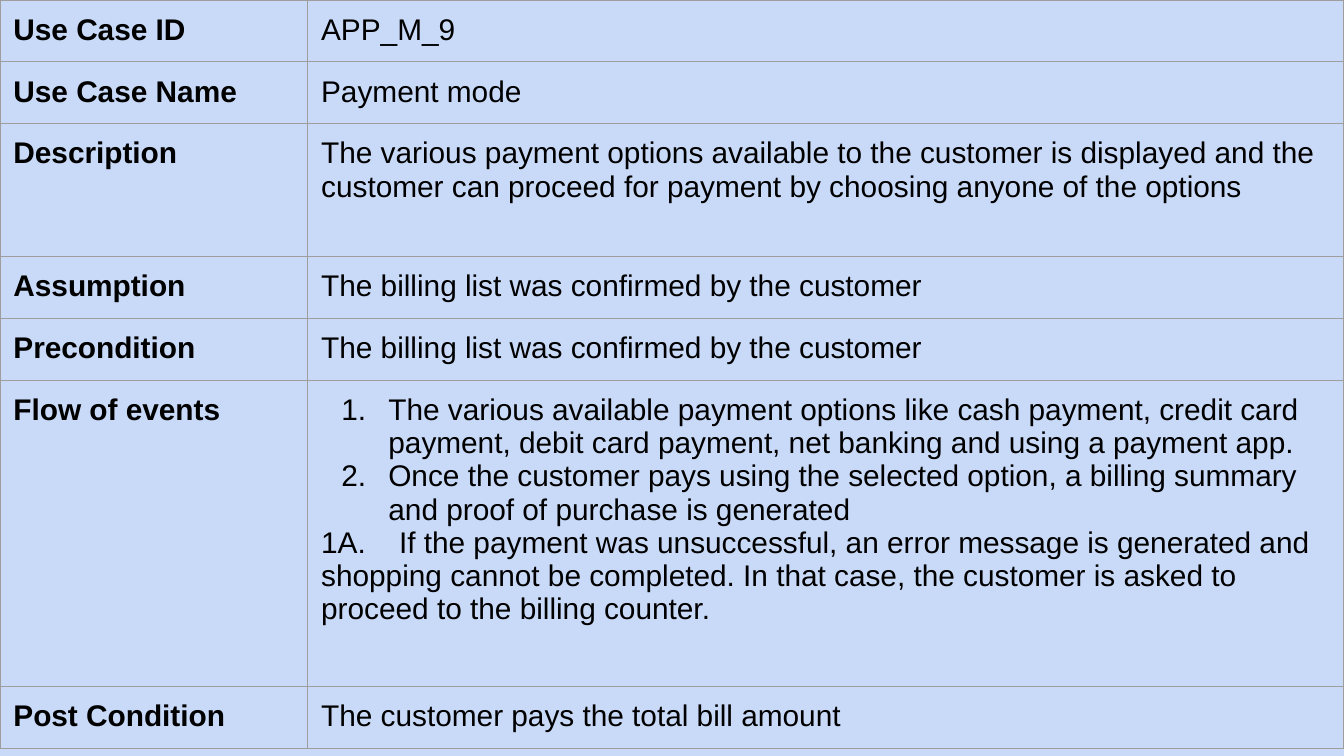
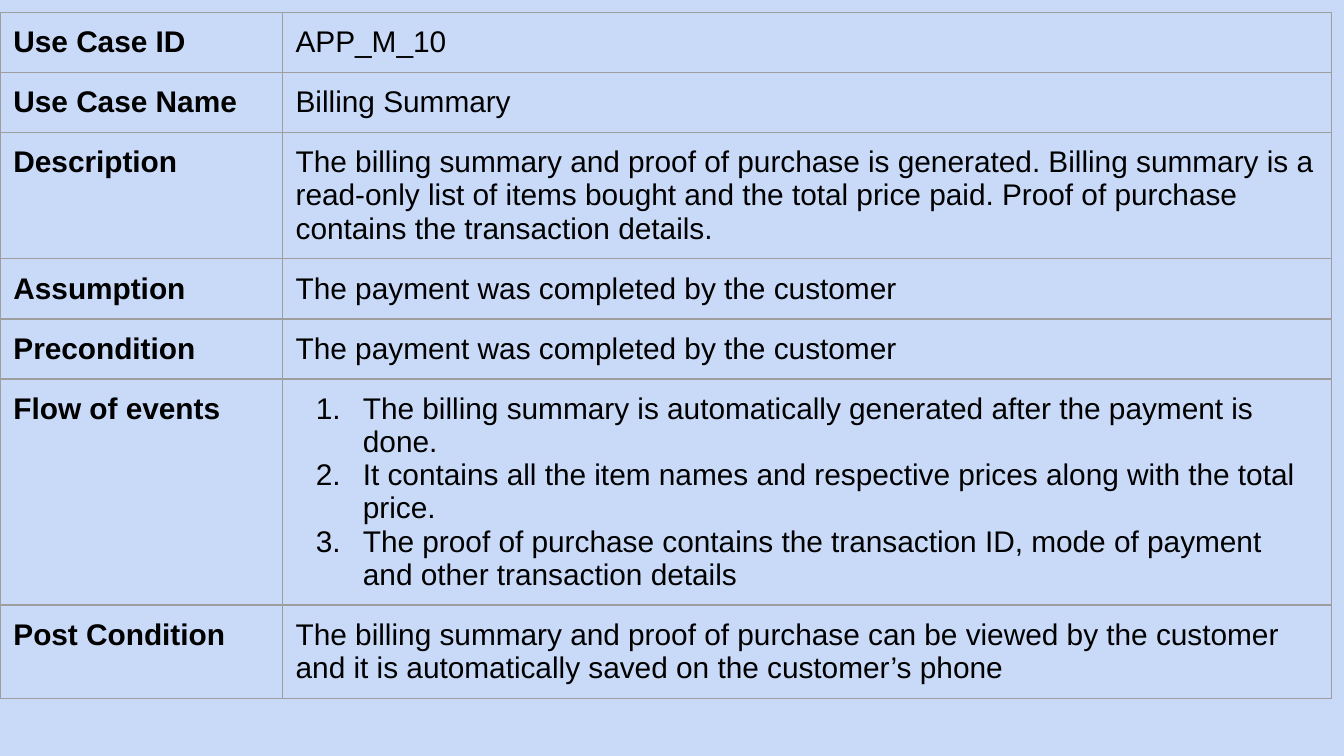
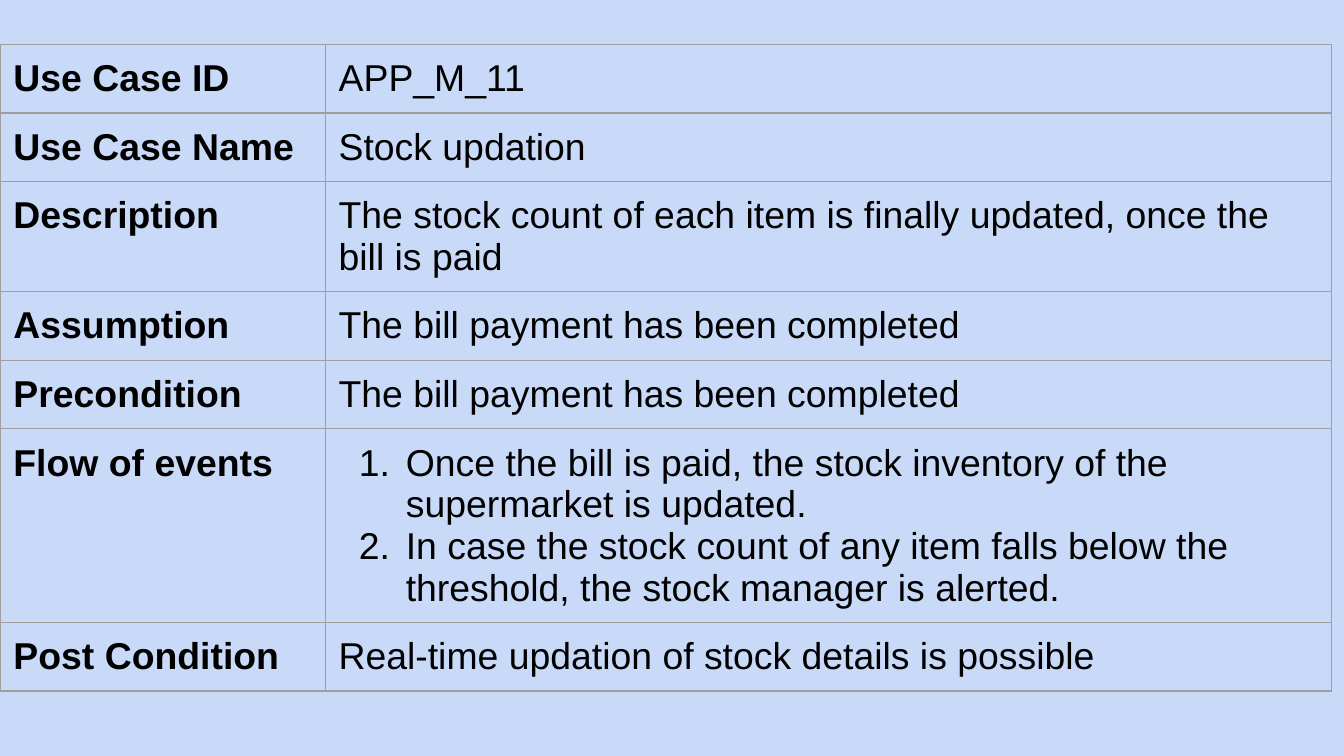
from lxml.etree import SubElement as Sub
from pptx import Presentation
from pptx.dml.color import RGBColor
from pptx.oxml.ns import qn
from pptx.util import Inches, Pt

FONT = "Arial"
INK = "000000"
PAPER = "C9DAF8"
RULE = "9E9E9E"
PAD = Inches(0.1)
WIDE = Inches(10)
LABELS = ["Use Case ID", "Use Case Name", "Description", "Assumption",
          "Precondition", "Flow of events", "Post Condition"]


def color(code):
    return RGBColor.from_string(code)


def border(cell):
    props = cell._tc.get_or_add_tcPr()
    for side in ("lnL", "lnR", "lnT", "lnB"):
        line = Sub(props, qn(f"a:{side}"), w=str(Pt(0.75)))
        fill = Sub(line, qn("a:solidFill"))
        Sub(fill, qn("a:srgbClr"), val=RULE)


def number(para):
    props = para._p.get_or_add_pPr()
    props.set("marL", str(Inches(0.5)))
    props.set("indent", str(Inches(-0.35)))
    tint = Sub(props, qn("a:buClr"))
    Sub(tint, qn("a:srgbClr"), val=INK)
    Sub(props, qn("a:buAutoNum"), type="arabicPeriod")


def add_tab(para, stop):
    tabs = Sub(para._p.get_or_add_pPr(), qn("a:tabLst"))
    Sub(tabs, qn("a:tab"), pos=str(stop), algn="l")


def write(para, text, size, bold):
    para.text = text
    font = para.font
    font.name, font.size, font.bold = FONT, Pt(size), bold
    font.color.rgb = color(INK)


def style(cell):
    cell.margin_left = cell.margin_right = PAD
    cell.margin_top = cell.margin_bottom = PAD
    border(cell)
    cell.fill.background()


def fill_cell(cell, text, size, bold=False):
    style(cell)
    frame = cell.text_frame
    if isinstance(text, str):
        write(frame.paragraphs[0], text, size, bold)
        return
    for index, item in enumerate(text):
        para = frame.paragraphs[0] if index == 0 else frame.add_paragraph()
        if "\t" in item:
            add_tab(para, Inches(0.58))
        else:
            number(para)
        write(para, item, size, bold)


def add_case(deck, top, widths, height, rows, size, values):
    slide = deck.slides.add_slide(deck.slide_layouts[6])
    shape = slide.shapes.add_table(len(LABELS), 2, 0, Inches(top),
                                   Inches(sum(widths)), Inches(height))
    table = shape.table
    table.first_row = table.horz_banding = False
    for column, width in zip(table.columns, widths):
        column.width = Inches(width)
    for index, (label, value) in enumerate(zip(LABELS, values)):
        table.rows[index].height = Inches(rows[index])
        fill_cell(table.cell(index, 0), label, size, True)
        fill_cell(table.cell(index, 1), value, size)
    shape.height = Inches(height)


def main():
    deck = Presentation()
    deck.slide_width, deck.slide_height = WIDE, WIDE * 9 // 16
    back = deck.slide_master.background.fill
    back.solid()
    back.fore_color.rgb = color(PAPER)
    even = [0.42] * len(LABELS)

    add_case(deck, 0, [2.29, 7.71], 5.6,
             [0.46, 0.46, 0.99, 0.46, 0.46, 2.28, 0.46], 16, [
        "APP_M_9",
        "Payment mode",
        "The various payment options available to the customer is displayed "
        "and the customer can proceed for payment by choosing anyone of the "
        "options",
        "The billing list was confirmed by the customer",
        "The billing list was confirmed by the customer",
        ["The various available payment options like cash payment, credit "
         "card payment, debit card payment, net banking and using a payment "
         "app.",
         "Once the customer pays using the selected option, a billing summary "
         "and proof of purchase is generated",
         "1A.\tIf the payment was unsuccessful, an error message is generated "
         "and shopping cannot be completed. In that case, the customer is "
         "asked to proceed to the billing counter."],
        "The customer pays the total bill amount",
    ])
    add_case(deck, 0.09, [2.1, 7.81], 5.4, even, 16, [
        "APP_M_10",
        "Billing Summary",
        "The billing summary and proof of purchase is generated. Billing "
        "summary is a read-only list of items bought and the total price "
        "paid. Proof of purchase contains the transaction details.",
        "The payment was completed by the customer",
        "The payment was completed by the customer",
        ["The billing summary is automatically generated after the payment "
         "is done.",
         "It contains all the item names and respective prices along with "
         "the total price.",
         "The proof of purchase contains the transaction ID, mode of payment "
         "and other transaction details"],
        "The billing summary and proof of purchase can be viewed by the "
        "customer and it is automatically saved on the customer’s phone",
    ])
    add_case(deck, 0.33, [2.42, 7.49], 5.07, even, 20, [
        "APP_M_11",
        "Stock updation",
        "The stock count of each item is finally updated, once the bill is "
        "paid",
        "The bill payment has been completed",
        "The bill payment has been completed",
        ["Once the bill is paid, the stock inventory of the supermarket is "
         "updated.",
         "In case the stock count of any item falls below the threshold, the "
         "stock manager is alerted."],
        "Real-time updation of stock details is possible",
    ])
    deck.save("out.pptx")


if __name__ == "__main__":
    main()
